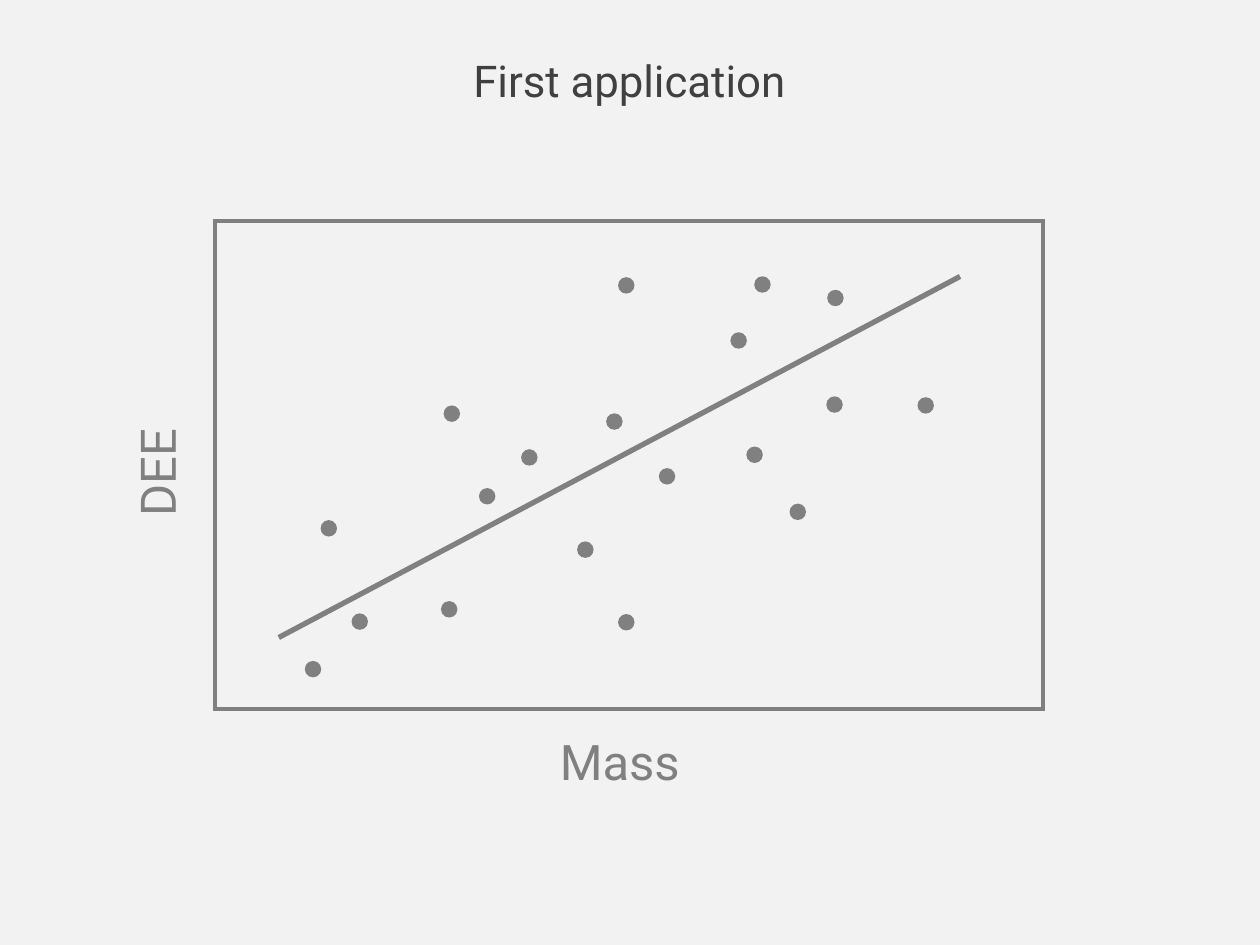
from lxml.etree import SubElement
from pptx import Presentation
from pptx.dml.color import RGBColor
from pptx.enum.shapes import MSO_CONNECTOR, MSO_SHAPE
from pptx.enum.text import MSO_ANCHOR, PP_ALIGN
from pptx.oxml.ns import qn
from pptx.util import Pt

PAPER = RGBColor(0xF2, 0xF2, 0xF2)
GREY = RGBColor(0x80, 0x80, 0x80)
DARK = RGBColor(0x40, 0x40, 0x40)


def style(part, looks):
    """Set each named format value on one part."""
    for name, value in looks.items():
        setattr(part, name, value)


# Slide
deck = Presentation()
style(deck, {"slide_width": Pt(720), "slide_height": Pt(540)})
slide = deck.slides.add_slide(deck.slide_layouts[6])
slide.background.fill.solid()
slide.background.fill.fore_color.rgb = PAPER
shapes = slide.shapes

# Plot frame
plot = shapes.add_shape(MSO_SHAPE.RECTANGLE, Pt(123.1), Pt(126.4), Pt(473), Pt(278.8))
plot.shadow.inherit = False
plot.fill.background()
plot.line.width = Pt(2.25)
plot.line.color.rgb = GREY
SubElement(plot.line._ln, qn("a:miter"), lim="800000")  # square corners

# Trend line
trend = shapes.add_connector(
    MSO_CONNECTOR.STRAIGHT, Pt(159.3), Pt(364.3), Pt(548.6), Pt(158)
)
trend.line.width = Pt(3)
trend.line.color.rgb = GREY
SubElement(trend._element.spPr, qn("a:effectLst"))  # no shadow

# Data points: left and top of each dot, ordered by mass
SIZE = Pt(9.4)
DOTS = [
    (174.2, 377.7), (183.2, 297.2), (200.9, 350.5), (252, 343.5), (253.5, 231.7),
    (273.7, 278.9), (297.8, 256.7), (329.8, 309.4), (346.4, 236.2), (353.2, 350.9),
    (353.2, 158.4), (376.5, 267.5), (417.4, 189.9), (426.5, 255.2), (431, 157.9),
    (451.2, 287.8), (472.2, 226.5), (472.7, 165.6), (524.3, 227),
]
for left, top in DOTS:
    dot = shapes.add_shape(MSO_SHAPE.OVAL, Pt(left), Pt(top), SIZE, SIZE)
    dot.shadow.inherit = False
    dot.fill.solid()
    dot.fill.fore_color.rgb = GREY
    dot.line.fill.background()

# Axis labels share one box size and look; the title has its own
WIDE, HIGH = 112.3, 64.8
AXIS = {"name": "Roboto", "size": Pt(28)}
TITLE = {"name": "Roboto", "size": Pt(25)}
MID, TOP = MSO_ANCHOR.MIDDLE, MSO_ANCHOR.TOP
LABELS = [  # text, box, rotation, anchor, font, colour
    ("Mass", (298, 404.6, WIDE, HIGH), 0, MID, AXIS, GREY),
    ("DEE", (35.3, 237.6, WIDE, HIGH), 270, MID, AXIS, GREY),
    ("First application", (102.2, 30.6, 514.8, 40.3), 0, TOP, TITLE, DARK),
]
for text, box, turn, anchor, font, color in LABELS:
    label = shapes.add_textbox(*map(Pt, box))
    label.rotation = turn
    body = label.text_frame
    style(body, {"word_wrap": True, "vertical_anchor": anchor})
    para = body.paragraphs[0]
    style(para, {"alignment": PP_ALIGN.CENTER, "line_spacing": 0.9})
    run = para.add_run()
    run.text = text
    style(run.font, font)
    run.font.color.rgb = color

deck.save("out.pptx")
